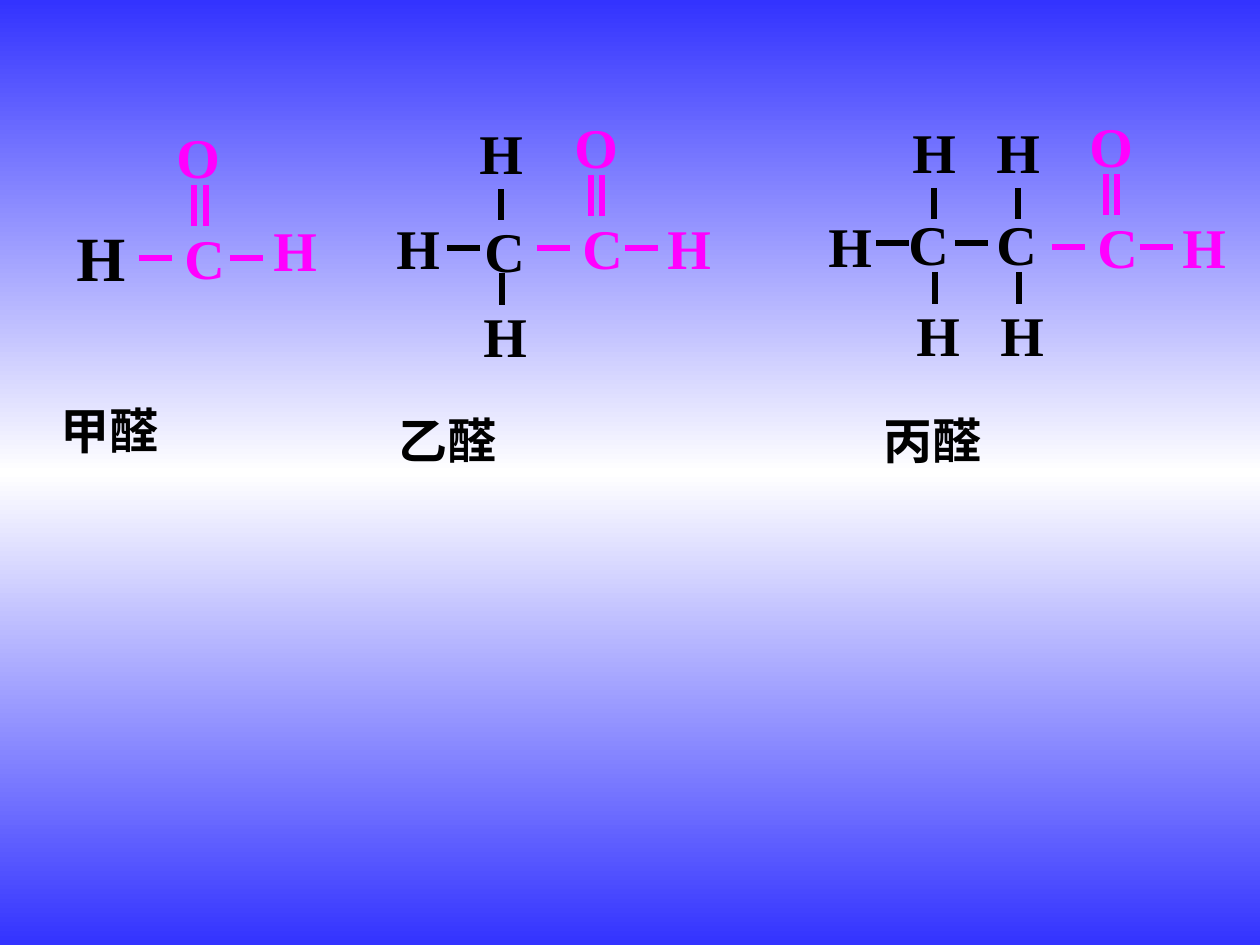
from copy import deepcopy
from dataclasses import dataclass

from lxml.etree import SubElement
from pptx import Presentation
from pptx.dml.color import RGBColor as Rgb
from pptx.enum.shapes import MSO_CONNECTOR as Connector
from pptx.enum.text import MSO_ANCHOR as Anchor
from pptx.oxml.ns import qn
from pptx.util import Emu, Inches, Pt


@dataclass(frozen=True)
class Theme:
    ink: str = "000000"
    accent: str = "FF00FF"
    edge: str = "3333FF"
    middle: str = "FFFFFF"
    latin: str = "Times New Roman"
    chinese: str = "Noto Sans CJK SC"
    atom: int = 32
    large_atom: int = 36
    name: int = 28
    bond: int = 3


THEME = Theme()
PX = Inches(1) / 126
ATOM_H = 81
BOND = 33


def px(length):
    return Emu(round(length * PX))


def write(box, text, size=THEME.atom, font=THEME.latin, color=THEME.ink, spacing=None):
    frame = box.text_frame
    frame.word_wrap = True
    frame.vertical_anchor = Anchor.TOP
    para = frame.paragraphs[0]
    para.line_spacing = spacing
    span = para.add_run()
    span.text = text
    span.font.name = font
    span.font.size = Pt(size)
    span.font.bold = True
    span.font.color.rgb = Rgb.from_string(color)
    SubElement(span.font._element, qn("a:ea")).set("typeface", font)


class Board:
    def __init__(self, page, theme):
        self.page = page
        self.theme = theme
        self.shapes = page.shapes

    def backdrop(self):
        fill = self.page.background.fill
        fill.gradient()
        fill.gradient_angle = 90
        stops = self.page._element.find(".//" + qn("a:gsLst"))
        stops.insert(1, deepcopy(stops[0]))
        colors = (self.theme.edge, self.theme.middle, self.theme.edge)
        for stop, place, color in zip(fill.gradient_stops, (0, 0.5, 1), colors):
            stop.position = place
            stop.color.rgb = Rgb.from_string(color)

    def molecule(self):
        """Start a new group that takes the following atoms and bonds."""
        self.shapes = self.page.shapes.add_group_shape().shapes

    def text(self, text, x, y, w, h, **style):
        write(self.shapes.add_textbox(px(x), px(y), px(w), px(h)), text, **style)

    def atom(self, symbol, x, y, w=66, **style):
        self.text(symbol, x, y, w, ATOM_H, **style)

    def bond(self, x1, y1, x2, y2, color=THEME.ink):
        line = self.shapes.add_connector(Connector.STRAIGHT, px(x1), px(y1), px(x2), px(y2))
        line.line.color.rgb = Rgb.from_string(color)
        line.line.width = Pt(self.theme.bond)
        SubElement(line._element.spPr, qn("a:effectLst"))

    def aldehyde(self, x, y, double=(54, 65), single=88, hydrogen=(118, -41)):
        """CHO group, measured from the left end of its first bond."""
        pink = self.theme.accent
        for start in (0, single):
            self.bond(x + start, y, x + start + BOND, y, color=pink)
        for offset in double:
            self.bond(x + offset, y - 32, x + offset, y - 73, color=pink)
        self.atom("C", x + 33, y - 41, color=pink)
        self.atom("O", x + 25, y - 142, w=88, color=pink)
        self.atom("H", x + hydrogen[0], y + hydrogen[1], color=pink)

    def carbon(self, x, y, center, left):
        """Carbon with H above and below, measured from the top of its upper bond."""
        self.atom("H", x - 34, y - 77)
        self.bond(x, y, x, y + 31)
        self.atom("C", x + center[0], y + center[1])
        self.bond(x + left[0], y + left[1], x + left[0] + BOND, y + left[1])
        self.bond(x + 1, y + 84, x + 1, y + 116)
        self.atom("H", x - 30, y + 106)

    def name(self, text, x, y):
        self.shapes = self.page.shapes
        self.text(text, x, y, 217, 83, size=self.theme.name,
                  font=self.theme.chinese, spacing=1.2)


def main():
    deck = Presentation()
    deck.slide_width, deck.slide_height = Inches(10), Inches(7.5)
    board = Board(deck.slides.add_slide(deck.slide_layouts[6]), THEME)
    board.backdrop()

    # Methanal
    board.molecule()
    board.aldehyde(139, 258, double=(55, 67), single=91, hydrogen=(122, -49))
    board.atom("H", 64, 212, w=75, size=THEME.large_atom)

    # Ethanal
    board.molecule()
    board.carbon(501, 189, center=(-29, 21), left=(-54, 59))
    board.aldehyde(537, 248)
    board.atom("H", 384, 207)

    # Propanal
    board.molecule()
    board.carbon(934, 188, center=(-38, 15), left=(-58, 55))
    board.carbon(1018, 188, center=(-34, 15), left=(-63, 55))
    board.aldehyde(1052, 247)
    board.atom("H", 816, 205)

    # Names
    for text, x, y in (("甲醛", 48, 383), ("乙醛", 386, 393), ("丙醛", 871, 393)):
        board.name(text, x, y)

    deck.save("out.pptx")


if __name__ == "__main__":
    main()
